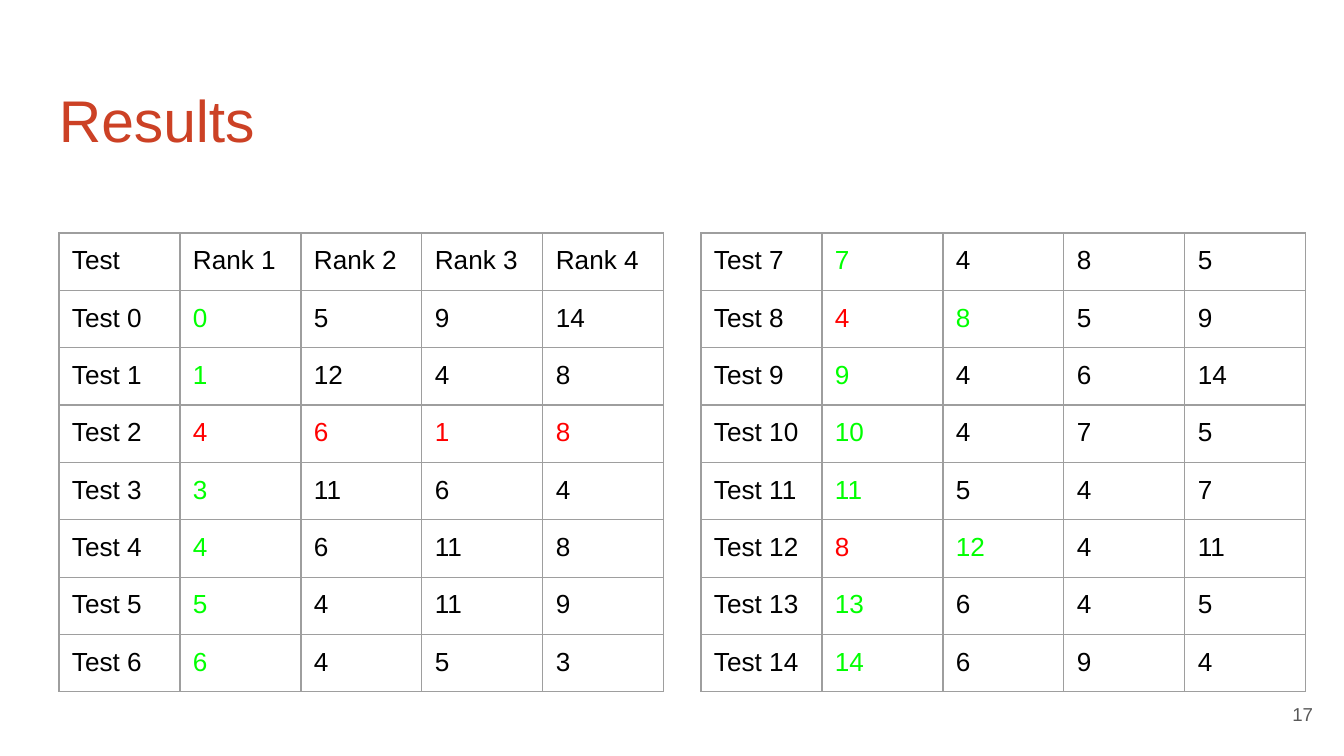
from dataclasses import dataclass

from lxml import etree
from pptx import Presentation
from pptx import util as u
from pptx.dml.color import RGBColor
from pptx.enum import text
from pptx.oxml.ns import qn


@dataclass(frozen=True)
class Theme:
    font: str = "Arial"
    heading: str = "CC4125"
    ink: str = "000000"
    hit: str = "00FF00"
    miss: str = "FF0000"
    muted: str = "595959"
    border: str = "9E9E9E"
    title_size: float = 31.5
    cell_size: float = 14
    number_size: float = 10
    border_width: float = 0.75


theme = Theme()
PX = 914400 / 134.4
INSET = 13
COLUMN_WIDTH, ROW_HEIGHT, TABLE_TOP = 121, 46, 233


def px(*lengths):
    return [u.Emu(round(length * PX)) for length in lengths]


def write(frame, wording, size, color):
    """Fill a text frame with one formatted paragraph and even insets."""
    frame.text = wording
    (inset,) = px(INSET)
    frame.margin_left = frame.margin_right = inset
    frame.margin_top = frame.margin_bottom = inset
    para = frame.paragraphs[0]
    para.alignment = text.PP_ALIGN.LEFT
    font = para.runs[0].font
    font.name, font.size = theme.font, u.Pt(size)
    font.color.rgb = RGBColor.from_string(color)


header = ["Test", "Rank 1", "Rank 2", "Rank 3", "Rank 4"]
# One row of ranked matches per test; the right match is the test's own number.
rankings = [
    [0, 5, 9, 14],
    [1, 12, 4, 8],
    [4, 6, 1, 8],
    [3, 11, 6, 4],
    [4, 6, 11, 8],
    [5, 4, 11, 9],
    [6, 4, 5, 3],
    [7, 4, 8, 5],
    [4, 8, 5, 9],
    [9, 4, 6, 14],
    [10, 4, 7, 5],
    [11, 5, 4, 7],
    [8, 12, 4, 11],
    [13, 6, 4, 5],
    [14, 6, 9, 4],
]

# Matches ranked before the right one are misses, those after it stay plain.
rows = [[(label, theme.ink) for label in header]]
for test, ranks in enumerate(rankings):
    row = [(f"Test {test}", theme.ink)]
    found = False
    for match in ranks:
        if match == test:
            color = theme.hit
            found = True
        else:
            color = theme.ink if found else theme.miss
        row.append((str(match), color))
    rows.append(row)

deck = Presentation()
deck.slide_width, deck.slide_height = px(1344, 756)
page = deck.slides.add_slide(deck.slide_layouts[5])

title = page.shapes.title
title.left, title.top, title.width, title.height = px(46, 66, 1252, 84)
write(title.text_frame, "Results", theme.title_size, theme.heading)
title.text_frame.auto_size = text.MSO_AUTO_SIZE.NONE
title.text_frame.vertical_anchor = text.MSO_ANCHOR.TOP
(title.text_frame.margin_top,) = px(18)

number = page.shapes.add_textbox(*px(1246, 685, 80, 58)).text_frame
write(number, "17", theme.number_size, theme.muted)
number.word_wrap = True
number.vertical_anchor = text.MSO_ANCHOR.MIDDLE
number.paragraphs[0].alignment = text.PP_ALIGN.RIGHT

half = len(rows) // 2
for left, part in ((701, rows[half:]), (59, rows[:half])):
    table = page.shapes.add_table(
        len(part), len(header),
        *px(left, TABLE_TOP, COLUMN_WIDTH * len(header), ROW_HEIGHT * len(part)),
    ).table
    table.first_row = table.horz_banding = False
    for column in table.columns:
        (column.width,) = px(COLUMN_WIDTH)
    for table_row, entries in zip(table.rows, part):
        (table_row.height,) = px(ROW_HEIGHT)
        for cell, (wording, color) in zip(table_row.cells, entries):
            write(cell.text_frame, wording, theme.cell_size, color)
            (inset,) = px(INSET)
            cell.margin_left = cell.margin_right = inset
            cell.margin_top = cell.margin_bottom = inset
            cell.fill.background()
            properties = cell._tc.get_or_add_tcPr()
            for index, side in enumerate(("lnL", "lnR", "lnT", "lnB")):
                line = etree.Element(qn(f"a:{side}"), w=str(u.Pt(theme.border_width)))
                fill = etree.SubElement(line, qn("a:solidFill"))
                etree.SubElement(fill, qn("a:srgbClr"), val=theme.border)
                properties.insert(index, line)

deck.save("out.pptx")
